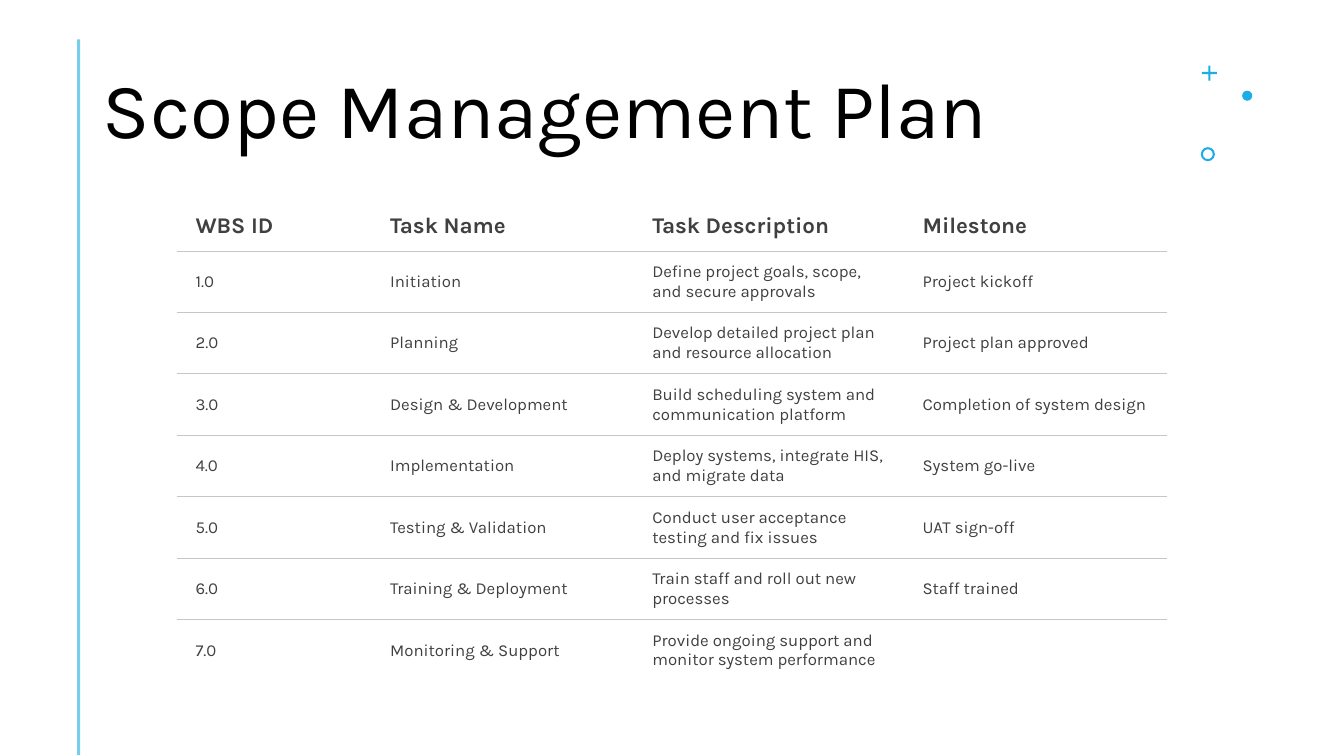
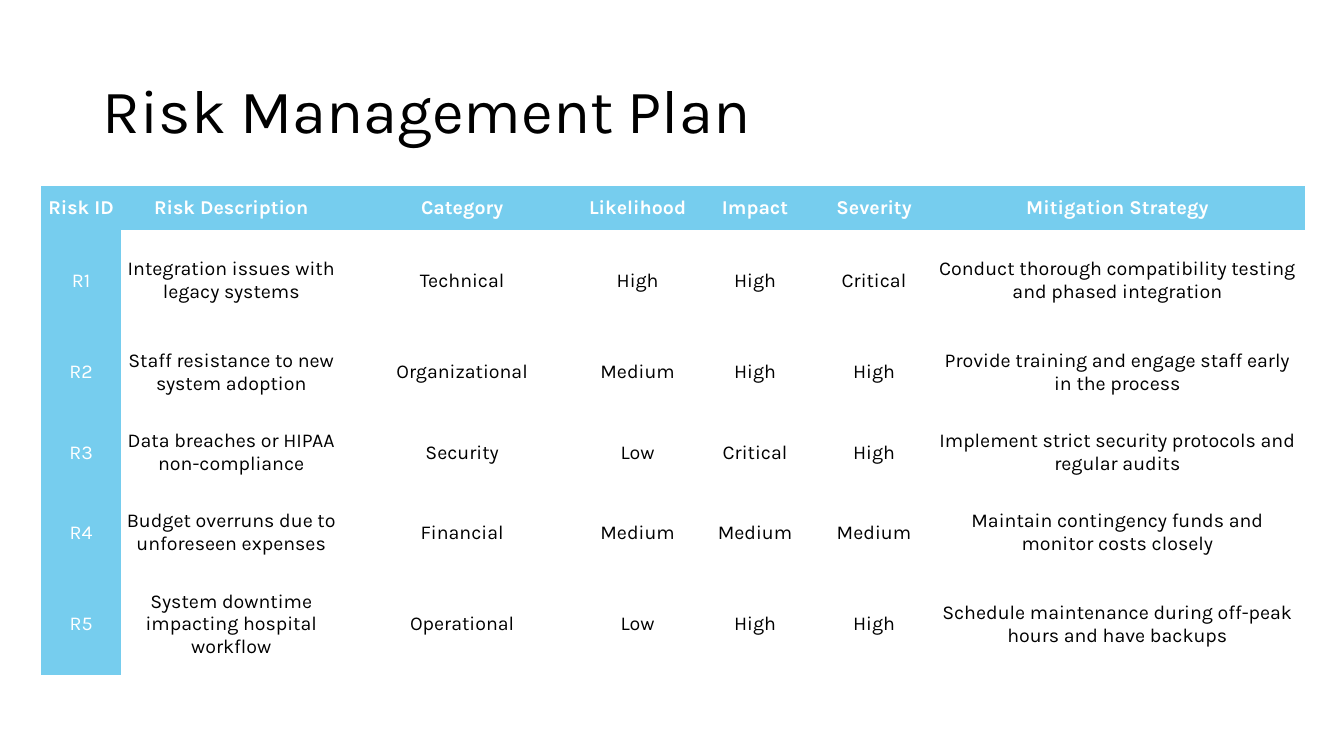
from lxml import etree
from pptx import Presentation
from pptx import util as u
from pptx.dml.color import RGBColor
from pptx.enum import shapes, text
from pptx.oxml import ns

COLORS = {
    "accent": "1CADE4",
    "band": "76CDEE",
    "rule": "C7C6C1",
    "title": "000000",
    "body": "404040",
    "white": "FFFFFF",
}
FONT = "Karla"
NO_STYLE = "{2D5ABB26-0587-4C30-8999-92F81FD0307C}"
TITLE_LEFT, TITLE_TOP, TITLE_HEIGHT = 0.92, 0.4, 1.45

deck = Presentation()
deck.slide_width, deck.slide_height = u.Inches(13.33), u.Inches(7.5)
blank = deck.slide_layouts[6]


def add_titled_slide(title, size, width):
    slide = deck.slides.add_slide(blank)
    box = slide.shapes.add_textbox(*map(u.Inches, (TITLE_LEFT, TITLE_TOP, width, TITLE_HEIGHT)))
    frame = box.text_frame
    frame.word_wrap = True
    frame.vertical_anchor = text.MSO_ANCHOR.MIDDLE
    heading = frame.paragraphs[0]
    heading.line_spacing = 0.9
    run = heading.add_run()
    run.text = title
    run.font.name, run.font.size = FONT, u.Pt(size)
    run.font.color.rgb = RGBColor.from_string(COLORS["title"])
    return slide


def add_plain_table(slide, left, top, columns, heights, rows, insets, align, style):
    """Add an unstyled table; style(row, column) gives size, bold, text colour and fill."""
    frame = slide.shapes.add_table(
        len(rows), len(columns),
        *map(u.Inches, (left, top, sum(columns), sum(heights))))
    table = frame.table
    table.first_row = table.horz_banding = False
    table._tbl.tblPr.find(ns.qn("a:tableStyleId")).text = NO_STYLE
    for column, width in zip(table.columns, columns):
        column.width = u.Inches(width)
    for row, height in zip(table.rows, heights):
        row.height = u.Inches(height)
    for r, words in enumerate(rows):
        for c, word in enumerate(words):
            cell = table.cell(r, c)
            size, bold, color, fill = style(r, c)
            for side, inset in zip(("left", "top", "right", "bottom"), insets):
                setattr(cell, f"margin_{side}", u.Inches(inset))
            cell.vertical_anchor = text.MSO_ANCHOR.MIDDLE
            if fill:
                cell.fill.solid()
                cell.fill.fore_color.rgb = RGBColor.from_string(COLORS[fill])
            else:
                cell.fill.background()
            if not word:
                continue
            paragraph = cell.text_frame.paragraphs[0]
            paragraph.alignment = align
            run = paragraph.add_run()
            run.text = word
            for name, value in {"name": FONT, "size": u.Pt(size), "bold": bold}.items():
                setattr(run.font, name, value)
            run.font.color.rgb = RGBColor.from_string(COLORS[color])
    return table


# Scope
scope = add_titled_slide("Scope Management Plan", 56, 10.76)

side_rule = scope.shapes.add_connector(
    shapes.MSO_CONNECTOR.STRAIGHT, *map(u.Inches, (0.78, 0.39, 0.78, 7.49)))
side_rule.line.width = u.Pt(2)
side_rule.line.color.rgb = RGBColor.from_string(COLORS["accent"])
rule_color = side_rule.line._ln.find(".//" + ns.qn("a:srgbClr"))
etree.SubElement(rule_color, ns.qn("a:alpha"), val="60000")
etree.SubElement(side_rule._element.spPr, ns.qn("a:effectLst"))

ornaments = [
    (shapes.MSO_SHAPE.CROSS, 11.92, 0.65, 0.15, 0.43),
    (shapes.MSO_SHAPE.OVAL, 12.32, 0.9, 0.1, None),
    (shapes.MSO_SHAPE.DONUT, 11.91, 1.46, 0.14, 0.15),
]
for kind, left, top, side, adjustment in ornaments:
    ornament = scope.shapes.add_shape(kind, *map(u.Inches, (left, top, side, side)))
    ornament.shadow.inherit = False
    ornament.fill.solid()
    ornament.fill.fore_color.rgb = RGBColor.from_string(COLORS["accent"])
    ornament.line.fill.background()
    if adjustment:
        ornament.adjustments[0] = adjustment

tasks = [
    ("WBS ID", "Task Name", "Task Description", "Milestone"),
    ("1.0", "Initiation", "Define project goals, scope, and secure approvals", "Project kickoff"),
    ("2.0", "Planning", "Develop detailed project plan and resource allocation",
     "Project plan approved"),
    ("3.0", "Design & Development", "Build scheduling system and communication platform",
     "Completion of system design"),
    ("4.0", "Implementation", "Deploy systems, integrate HIS, and migrate data",
     "System go-live"),
    ("5.0", "Testing & Validation", "Conduct user acceptance testing and fix issues",
     "UAT sign-off"),
    ("6.0", "Training & Deployment", "Train staff and roll out new processes", "Staff trained"),
    ("7.0", "Monitoring & Support", "Provide ongoing support and monitor system performance", ""),
]
task_table = add_plain_table(
    scope, 1.76, 2, [1.93, 2.6, 2.68, 2.6], [0.49] + [0.61] * 7, tasks,
    (0.18, 0.09, 0.14, 0.09), text.PP_ALIGN.LEFT,
    lambda r, c: (12 if r else 16, r == 0, "body", None))

# Hairlines between rows; a border has to precede the fill in the cell properties
last_row = len(tasks) - 1
for r in range(len(tasks)):
    edges = [edge for edge, inner in (("a:lnT", r > 0), ("a:lnB", r < last_row)) if inner]
    for cell in task_table.rows[r].cells:
        properties = cell._tc.get_or_add_tcPr()
        for position, edge in enumerate(edges):
            border = etree.Element(ns.qn(edge), w=str(u.Pt(0.75)))
            paint = etree.SubElement(border, ns.qn("a:solidFill"))
            etree.SubElement(paint, ns.qn("a:srgbClr"), val=COLORS["rule"])
            properties.insert(position, border)

# Risks
risk = add_titled_slide("Risk Management Plan", 44, 11.5)
risks = [
    ("Risk ID", "Risk Description", "Category", "Likelihood", "Impact", "Severity",
     "Mitigation Strategy"),
    ("R1", "Integration issues with legacy systems", "Technical", "High", "High", "Critical",
     "Conduct thorough compatibility testing and phased integration"),
    ("R2", "Staff resistance to new system adoption", "Organizational", "Medium", "High", "High",
     "Provide training and engage staff early in the process"),
    ("R3", "Data breaches or HIPAA non-compliance", "Security", "Low", "Critical", "High",
     "Implement strict security protocols and regular audits"),
    ("R4", "Budget overruns due to unforeseen expenses", "Financial", "Medium", "Medium",
     "Medium", "Maintain contingency funds and monitor costs closely"),
    ("R5", "System downtime impacting hospital workflow", "Operational", "Low", "High", "High",
     "Schedule maintenance during off-peak hours and have backups"),
]
add_plain_table(
    risk, 0.41, 1.85, [0.79, 2.19, 2.39, 1.09, 1.24, 1.12, 3.71],
    [0.43, 1.01, 0.81, 0.78, 0.81, 1.01], risks,
    (0.05, 0.02, 0.05, 0.02), text.PP_ALIGN.CENTER,
    lambda r, c: (14, r == 0, "title", "white") if r and c else (14, r == 0, "white", "band"))

deck.save("out.pptx")
